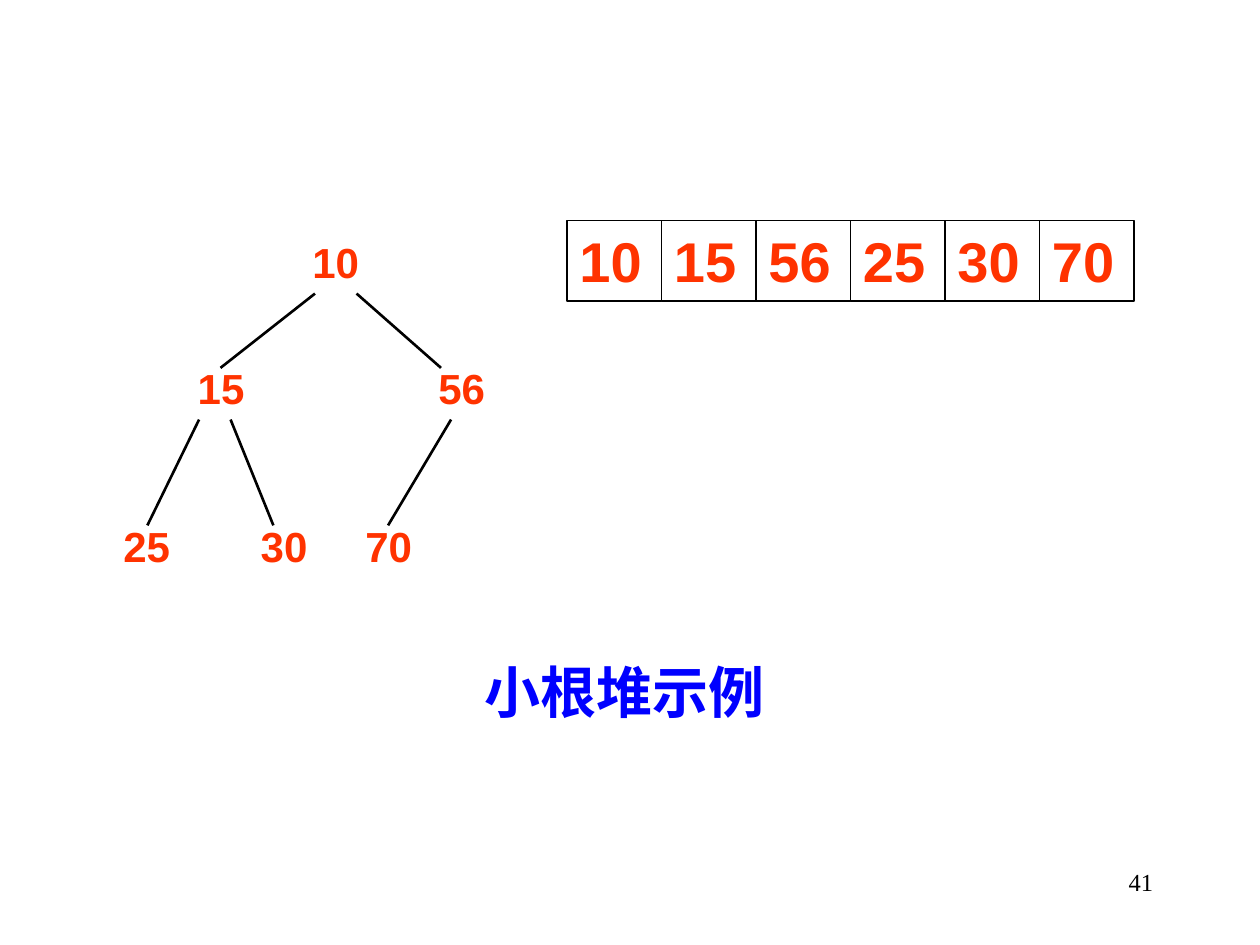
"""Build a slide showing a min-heap as a tree and as an array."""
from dataclasses import dataclass

from lxml import etree
from pptx import Presentation
from pptx.dml.color import RGBColor
from pptx.enum import shapes, text
from pptx.oxml import ns
from pptx.util import Inches, Pt


@dataclass(frozen=True)
class Theme:
    key: RGBColor = RGBColor(0xFF, 0x33, 0x00)
    caption: RGBColor = RGBColor(0x00, 0x00, 0xFF)
    ink: RGBColor = RGBColor(0x00, 0x00, 0x00)
    font: str = "Arial"
    number_font: str = "Times New Roman"
    node_size: int = 24
    large_size: int = 32
    number_size: int = 14
    edge_width: float = 1.5
    cell_width: float = 0.75


def write(box, words, size, color, align=text.PP_ALIGN.LEFT, font=Theme.font, bold=True):
    frame = box.text_frame
    frame.text = words
    frame.word_wrap = True
    frame.auto_size = text.MSO_AUTO_SIZE.NONE
    frame.vertical_anchor = text.MSO_ANCHOR.TOP
    para = frame.paragraphs[0]
    para.alignment = align
    span = para.runs[0]
    span.font.name = font
    span.font.size = Pt(size)
    span.font.bold = bold
    span.font.color.rgb = color


theme = Theme()
deck = Presentation()
deck.slide_width = Inches(10)
deck.slide_height = Inches(7.5)
page = deck.slides.add_slide(deck.slide_layouts[6])

heap = ["10", "15", "56", "25", "30", "70"]
node_places = [(2.33, 1.83), (1.42, 2.83), (3.33, 2.83), (0.83, 4.08), (1.92, 4.08), (2.75, 4.08)]
for key, (left, top) in zip(heap, node_places):
    node = page.shapes.add_textbox(Inches(left), Inches(top), Inches(0.67), Inches(0.5))
    write(node, key, theme.node_size, theme.key, text.PP_ALIGN.CENTER)

edges = [
    (2.5, 2.33, 1.75, 2.92),
    (2.83, 2.33, 3.5, 2.92),
    (1.58, 3.33, 1.17, 4.17),
    (1.83, 3.33, 2.17, 4.17),
    (3.58, 3.33, 3.08, 4.17),
]
for ends in edges:
    edge = page.shapes.add_connector(shapes.MSO_CONNECTOR.STRAIGHT, *map(Inches, ends))
    edge.line.color.rgb = theme.ink
    edge.line.width = Pt(theme.edge_width)
    etree.SubElement(edge.element.spPr, ns.qn("a:effectLst"))

cell_side = 0.75
for index, key in enumerate(heap):
    cell = page.shapes.add_shape(
        shapes.MSO_SHAPE.RECTANGLE,
        Inches(4.5 + index * cell_side), Inches(1.75), Inches(cell_side), Inches(0.64),
    )
    cell.shadow.inherit = False
    cell.fill.background()
    cell.line.color.rgb = theme.ink
    cell.line.width = Pt(theme.cell_width)
    write(cell, key, theme.large_size, theme.key)

caption = page.shapes.add_textbox(Inches(3.75), Inches(5.17), Inches(2.58), Inches(0.64))
write(caption, "小根堆示例", theme.large_size, theme.caption)

number = page.shapes.add_textbox(Inches(7.17), Inches(6.83), Inches(2.08), Inches(0.5))
write(number, "41", theme.number_size, theme.ink, text.PP_ALIGN.RIGHT, theme.number_font, False)

deck.save("out.pptx")
